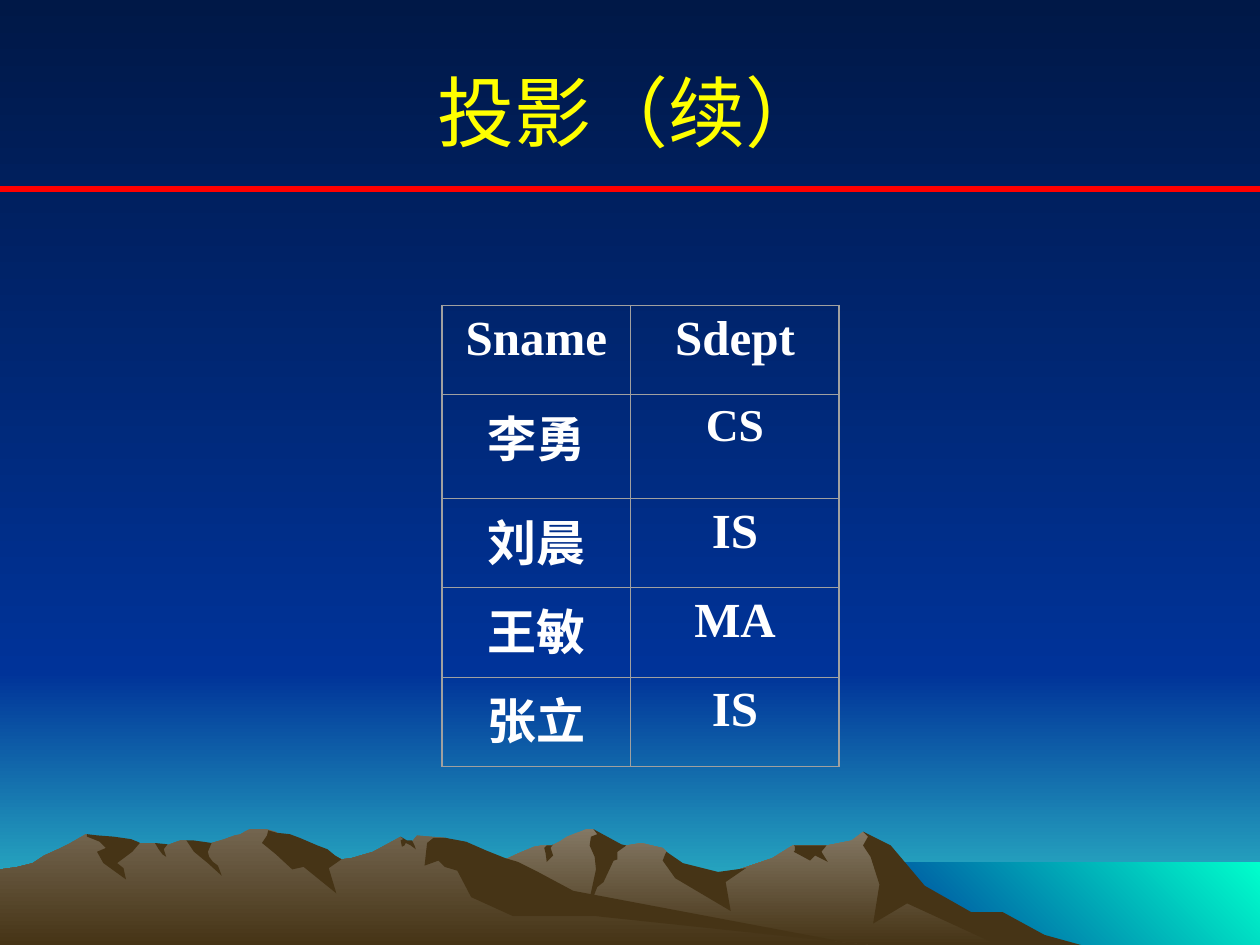
from lxml.etree import SubElement
from pptx import Presentation
from pptx.dml.color import RGBColor
from pptx.enum.shapes import MSO_CONNECTOR, MSO_SHAPE
from pptx.enum.text import MSO_ANCHOR, PP_ALIGN
from pptx.oxml import parse_xml
from pptx.oxml.ns import nsdecls, qn
from pptx.util import Pt

NIGHT, BLUE, AQUA, MINT = "001847", "003399", "33CCCC", "00FFCC"
ROCK, FAR_ROCK, SHADE = "73654F", "847864", "463416"
GREY, RED, YELLOW, WHITE = "A0A0A0", "FF0000", "FFFF00", "FFFFFF"
GRID_UNIT = 0.72

FAR_RIDGE = """802,82 778,69 764,65 723,40 702,13 685,2 676,9 656,13 629,13 613,23 566,39
536,32 529,18 526,15 509,11 497,13 486,15 474,3 471,0 465,0 450,6 444,10 438,13 430,13
424,14 412,19 399,25 394,27 355,40 327,51 277,81 258,92 820,92"""
FAR_SHADOWS = [
    """796,66 771,66 734,45 707,13 685,2 689,6 685,13 691,22 698,44 693,75 720,59 792,92
    858,92 829,84""",
    """471,0 474,4 469,6 468,13 472,22 473,32 465,69 474,46 479,42 487,25 490,24 490,18
    497,13 493,12""",
    "529,18 528,20 526,25 536,39 580,65 576,42 592,31 570,34 542,27",
    "650,13 630,13 631,14 631,17 630,18 643,25 647,21 657,26 652,18 656,13",
    "433,19 432,15 434,13 438,13 439,12 437,15 439,21 434,26",
]
NEAR_RIDGE = """690,92 667,90 432,54 354,7 331,5 327,10 323,10 318,6 296,18 279,23 271,24 260,18
236,23 223,5 219,2 212,0 198,0 194,2 191,4 186,5 178,8 168,11 160,13 148,9 143,9 132,13
128,13 123,11 111,11 94,13 68,4 56,11 46,16 35,21 26,27 14,30 0,32 0,92"""
NEAR_SHADOWS = [
    """212,5 208,11 219,20 232,32 241,30 267,51 261,31 271,24 266,21 260,16 252,13 238,7
    230,4 220,3 213,1""",
    """370,10 354,7 344,7 339,11 337,29 348,25 353,30 363,33 374,54 407,69 472,69 690,92
    683,92 455,49 427,34 411,26 401,23 386,17""",
    "318,9 320,8 318,6 323,9 327,9 329,13 330,16 326,13 322,11 321,13 319,14",
    "154,9 168,11 165,18 166,22 169,26 173,29 176,37 165,27 154,18 148,9",
    "133,12 130,16 131,19 132,22 129,20 126,16 123,11",
    """109,10 111,11 105,18 93,27 98,31 100,40 82,27 77,18 84,15 79,10 69,6 69,4 77,5
    90,6 104,8""",
]
STUDENTS = [("Sname", "Sdept"), ("李勇", "CS"), ("刘晨", "IS"), ("王敏", "MA"), ("张立", "IS")]


def color(hex_code):
    """Turn a hex string into a colour."""
    return RGBColor.from_string(hex_code)


def paint(fill, start, end=None, angle=90):
    """Fill with one colour, or with a gradient at a clockwise angle."""
    if end is None:
        fill.solid()
        fill.fore_color.rgb = color(start)
        return
    fill.gradient()
    fill.gradient_angle = 360 - angle
    for stop, shade in zip(fill.gradient_stops, (start, end)):
        stop.color.rgb = color(shade)


def add_panel(slide, box, *gradient):
    """Place a borderless gradient rectangle."""
    panel = slide.shapes.add_shape(MSO_SHAPE.RECTANGLE, *map(Pt, box))
    panel.shadow.inherit = False
    panel.line.fill.background()
    paint(panel.fill, *gradient)


def add_rock(slide, left, top, outline, *colors):
    """Draw a rock face from x,y pairs in grid units."""
    points = [tuple(map(int, pair.split(","))) for pair in outline.split()]
    builder = slide.shapes.build_freeform(*points[0], scale=Pt(GRID_UNIT))
    builder.add_line_segments(points[1:], close=True)
    rock = builder.convert_to_shape(Pt(left), Pt(top))
    rock.shadow.inherit = False
    rock.line.fill.background()
    paint(rock.fill, *colors)


def add_mountains(slide, left, top):
    """Draw both ridges, each with its shadows on top."""
    ridges = [(FAR_RIDGE, FAR_ROCK, FAR_SHADOWS), (NEAR_RIDGE, ROCK, NEAR_SHADOWS)]
    for ridge, light, shadows in ridges:
        add_rock(slide, left, top, ridge, light, SHADE)
        for shadow in shadows:
            add_rock(slide, left, top, shadow, SHADE)


def add_scenery(slide, left, top, width, height):
    """Paint sky, sea and mountains into the box."""
    horizon = 384
    paint(slide.background.fill, NIGHT, BLUE)
    add_panel(slide, (left, top + horizon, width, height - horizon), BLUE, AQUA)
    add_panel(slide, (left, top, width, horizon), NIGHT, BLUE)
    add_panel(slide, (left + 492, top + 493, width - 492, height - 493), BLUE, MINT, 315)
    add_mountains(slide, left, top + 473.8)


def format_text(frame, size, font_name, hex_code, bold):
    """Centre the text and set its font."""
    paragraph = frame.paragraphs[0]
    paragraph.alignment = PP_ALIGN.CENTER
    font = paragraph.font
    font.size, font.name, font.bold = Pt(size), font_name, bold
    font.color.rgb = color(hex_code)


def add_heading(slide, left, top, width, height):
    """Place the title with the red rule under it."""
    rule = slide.shapes.add_connector(
        MSO_CONNECTOR.STRAIGHT, 0, Pt(top + height), Pt(2 * left + width), Pt(top + height))
    rule.line.width = Pt(3.5)
    rule.line.color.rgb = color(RED)
    SubElement(rule.element.spPr, qn("a:effectLst"))
    title = slide.shapes.title
    title.left, title.top, title.width, title.height = map(Pt, (left, top, width, height))
    title.text_frame.text = "投影（续）"
    title.text_frame.vertical_anchor = MSO_ANCHOR.MIDDLE
    format_text(title.text_frame, 44, "Arial", YELLOW, False)
    title.element.getparent().append(title.element)


def set_borders(cell, widths):
    """Draw the left, right, top and bottom cell borders."""
    properties = cell._tc.get_or_add_tcPr()
    for index, (side, width) in enumerate(zip("LRTB", widths)):
        properties.insert(index, parse_xml(
            f'<a:ln{side} {nsdecls("a")} w="{Pt(width)}"><a:solidFill>'
            f'<a:srgbClr val="{GREY}"/></a:solidFill></a:ln{side}>'))


def add_students(slide, left, top, width, height):
    """Place the table of names and departments."""
    column_widths = (108, width - 108)
    row_heights = [59 if row == 1 else (height - 59) / 4 for row in range(len(STUDENTS))]
    table = slide.shapes.add_table(
        len(STUDENTS), 2, *map(Pt, (left, top, width, height))).table
    table.first_row = table.horz_banding = False
    for column, column_width in zip(table.columns, column_widths):
        column.width = Pt(column_width)
    last = len(STUDENTS) - 1
    for r, student in enumerate(STUDENTS):
        table.rows[r].height = Pt(row_heights[r])
        for c, value in enumerate(student):
            cell = table.cell(r, c)
            cell.text = value
            cell.fill.background()
            cell.vertical_anchor = MSO_ANCHOR.TOP
            format_text(cell.text_frame, 26 if value == "CS" else 28,
                        "Times New Roman", WHITE, True)
            edges = (c == 0, c == 1, r == 0, r == last)
            set_borders(cell, [1 if edge else 0.5 for edge in edges])


def main():
    """Build the slide and save it."""
    presentation = Presentation()
    presentation.slide_width, presentation.slide_height = Pt(720), Pt(540)
    slide = presentation.slides.add_slide(presentation.slide_layouts[5])
    add_scenery(slide, 0, 0, 720, 540)
    add_heading(slide, 36, 18, 648, 90)
    add_students(slide, 252.5, 174.5, 227, 263.5)
    presentation.save("out.pptx")


if __name__ == "__main__":
    main()
